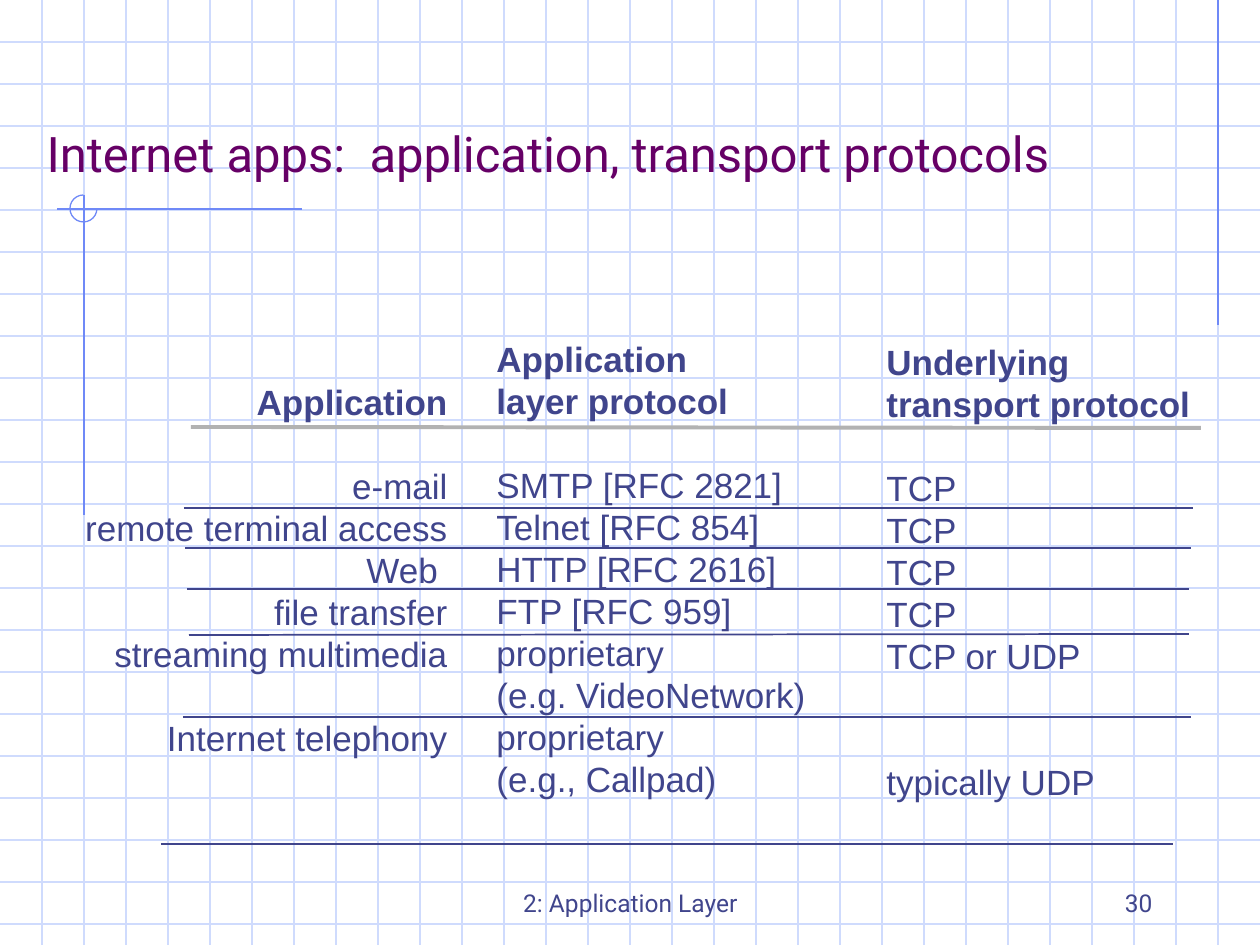
"""Build a slide that lists Internet applications with their protocols."""
from lxml import etree
from pptx import Presentation
from pptx.dml.color import RGBColor
from pptx.enum.shapes import MSO_CONNECTOR, MSO_SHAPE
from pptx.enum.text import MSO_ANCHOR, PP_ALIGN
from pptx.oxml.ns import qn
from pptx.util import Pt

LEFT, MID, RIGHT = PP_ALIGN.LEFT, PP_ALIGN.CENTER, PP_ALIGN.RIGHT
TOP, BOTTOM = MSO_ANCHOR.TOP, MSO_ANCHOR.BOTTOM
STRAIGHT, ARC = MSO_CONNECTOR.STRAIGHT, MSO_SHAPE.ARC
WIDE, HIGH, STEP = 1260, 945, 42
INK, PLUM, PALE, BLUE, GREY = "40458C", "660066", "CFDBFD", "6F89F7", "B2B2B2"
PITCH, THIN = 24, 0.74


def px(n):
    return round(n * 914400 / 126)


def rgb(code):
    return RGBColor.from_string(code)


def write(par, text, size=20, font="Arial", color=INK, bold=False, align=LEFT):
    par.alignment = align
    run = par.add_run()
    run.text = text
    run.font.size = Pt(size)
    run.font.name = font
    run.font.bold = bold
    run.font.color.rgb = rgb(color)


class Page:
    """Hold the slide and draw each kind of element on it."""

    def __init__(self, deck):
        self.slide = deck.slides.add_slide(deck.slide_layouts[5])
        self.shapes = self.slide.shapes

    def place(self, shape, x, y, w, h):
        shape.left, shape.top, shape.width, shape.height = map(px, (x, y, w, h))

    def line(self, x1, y1, x2, y2, color=INK, width=0.99):
        rule = self.shapes.add_connector(STRAIGHT, px(x1), px(y1), px(x2), px(y2))
        rule.line.color.rgb = rgb(color)
        rule.line.width = Pt(width)
        etree.SubElement(rule._element.spPr, qn("a:effectLst"))

    def arc(self, x, y, size):
        arc = self.shapes.add_shape(ARC, px(x), px(y), px(size), px(size))
        arc.adjustments[0] = 0
        arc.adjustments[1] = 162
        arc.shadow.inherit = False
        arc.fill.background()
        arc.line.color.rgb = rgb(BLUE)
        arc.line.width = Pt(THIN)

    def title(self, text, *box):
        head = self.shapes.title
        self.shapes._spTree.append(head._element)
        self.place(head, *box)
        head.text_frame.vertical_anchor = BOTTOM
        write(head.text_frame.paragraphs[0], text, size=28, font="Roboto", color=PLUM)

    def box(self, x, y, w, h, anchor=TOP):
        frame = self.shapes.add_textbox(px(x), px(y), px(w), px(h)).text_frame
        frame.word_wrap = True
        frame.vertical_anchor = anchor
        return frame

    def foot(self, text, x, w, align):
        frame = self.box(x, 861, w, 63, anchor=BOTTOM)
        write(frame.paragraphs[0], text, size=14, font="Roboto", align=align)

    def column(self, head, rows, x, y, w, h, align=LEFT):
        frame = self.box(x, y, w, h)
        gap = 0
        for i, text in enumerate(head + [""] + rows):
            if not text:
                gap += PITCH
                continue
            par = frame.add_paragraph() if i else frame.paragraphs[0]
            par.line_spacing = Pt(PITCH)
            par.space_before = Pt(gap)
            write(par, text, bold=i < len(head), align=align)
            gap = 0


deck = Presentation()
deck.slide_width, deck.slide_height = px(WIDE), px(HIGH)
page = Page(deck)

for y in range(STEP, HIGH, STEP):
    page.line(0, y, WIDE, y, PALE, THIN)
for x in range(STEP, WIDE, STEP):
    page.line(x, 0, x, HIGH, PALE, THIN)
for ends in ((1218, 0, 1218, 325), (302, 209, 57, 209), (84, 195, 84, 515)):
    page.line(*ends, BLUE, THIN)
page.arc(70, 195, 27)

page.foot("2: Application Layer", 431, 399, MID)
page.foot("30", 903, 262, RIGHT)
page.title("Internet apps:  application, transport protocols", 34, 32, 1206, 157)

page.column(
    ["Application"],
    ["e-mail", "remote terminal access", "Web ", "file transfer",
     "streaming multimedia", "", "Internet telephony"],
    40, 374, 420, 433, align=RIGHT)
page.column(
    ["Application", "layer protocol"],
    ["SMTP [RFC 2821]", "Telnet [RFC 854]", "HTTP [RFC 2616]", "FTP [RFC 959]",
     "proprietary", "(e.g. VideoNetwork)", "proprietary", "(e.g., Callpad)"],
    484, 331, 370, 475)
page.column(
    ["Underlying", "transport protocol"],
    ["TCP"] * 4 + ["TCP or UDP", "", "", "typically UDP"],
    874, 334, 362, 475)

page.line(191, 427, 1201, 428, GREY, 2.25)
for x1, y1, x2, y2 in (
        (184, 508, 1193, 508), (185, 548, 1191, 548), (187, 589, 1189, 589),
        (189, 635, 1189, 634), (183, 717, 1191, 717), (161, 844, 1173, 844)):
    page.line(x1, y1, x2, y2)

deck.save("out.pptx")
